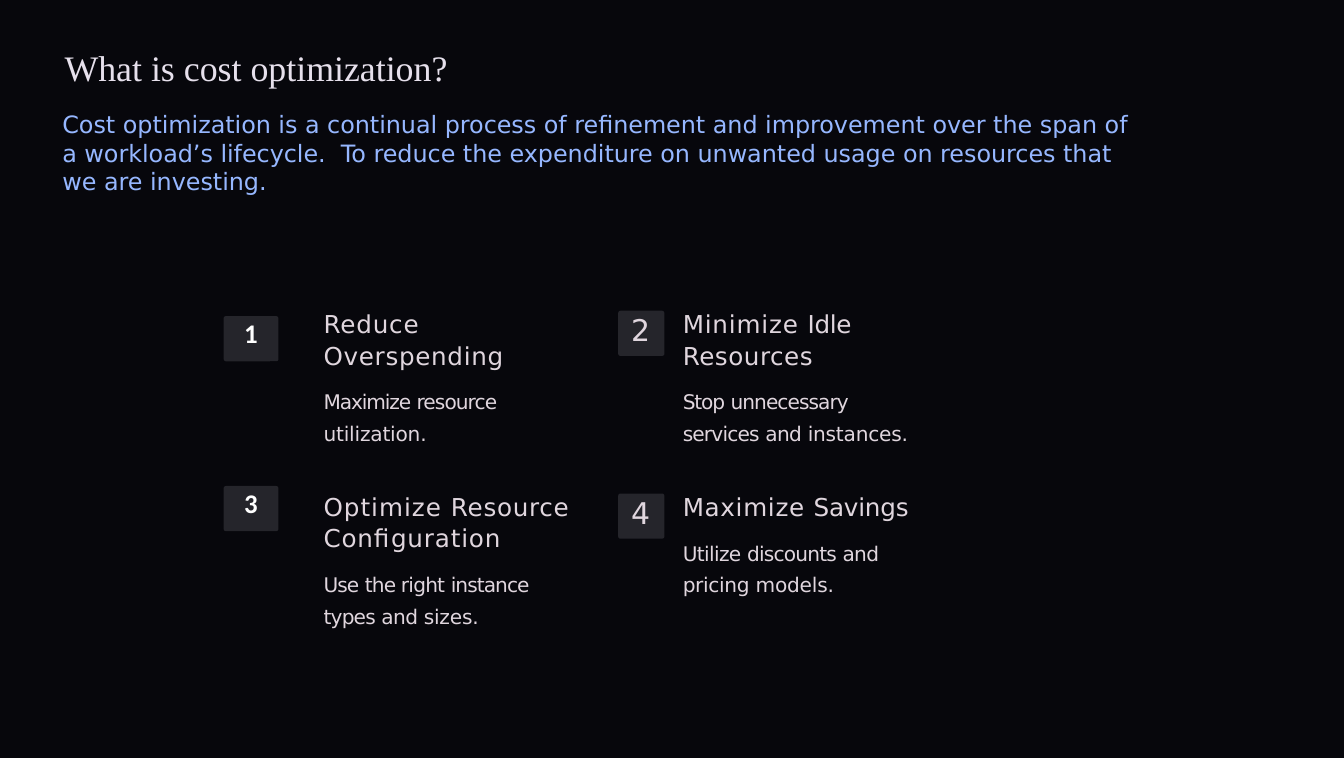
import dataclasses

import pptx
import pptx.dml.color
import pptx.enum.shapes
import pptx.enum.text
import pptx.oxml
import pptx.util

PX = 9144  # EMU per px, 100 px to the inch
Pt = pptx.util.Pt
MSO_SHAPE = pptx.enum.shapes.MSO_SHAPE
PP_ALIGN = pptx.enum.text.PP_ALIGN
MSO_ANCHOR = pptx.enum.text.MSO_ANCHOR
MSO_AUTO_SIZE = pptx.enum.text.MSO_AUTO_SIZE


@dataclasses.dataclass(frozen=True)
class Theme:
    back: str = "07070C"
    badge: str = "25252B"
    title: dict = dataclasses.field(default_factory=lambda: dict(
        name="Times New Roman", size=Pt(24), color="E6E0EC"))
    lead: dict = dataclasses.field(default_factory=lambda: dict(
        name="DejaVu Sans", size=Pt(16), color="96B7FF"))
    heading: dict = dataclasses.field(default_factory=lambda: dict(
        name="DejaVu Sans", size=Pt(16.5), color="E0D6DE"))
    detail: dict = dataclasses.field(default_factory=lambda: dict(
        name="DejaVu Sans", size=Pt(13.5), color="E0D6DE"))
    digit: dict = dataclasses.field(default_factory=lambda: dict(
        name="DejaVu Sans", size=Pt(20), color="E0D6DE"))
    bold_digit: dict = dataclasses.field(default_factory=lambda: dict(
        name="Calibri", size=Pt(18), bold=True, color="FFFFFF"))


def rgb(value):
    return pptx.dml.color.RGBColor.from_string(value)


def set_all(obj, values):
    for name, value in values.items():
        setattr(obj, name, value)


class Deck:
    def __init__(self, theme, width, height):
        self.theme = theme
        self.prs = pptx.Presentation()
        set_all(self.prs, dict(slide_width=width * PX, slide_height=height * PX))
        self.slide = self.prs.slides.add_slide(self.prs.slide_layouts[1])
        fill = self.slide.background.fill
        fill.solid()
        fill.fore_color.rgb = rgb(theme.back)

    def frame(self, sp, auto_size=MSO_AUTO_SIZE.SHAPE_TO_FIT_TEXT, top=0):
        tf = sp.text_frame
        set_all(tf, dict(
            margin_left=0, margin_right=0, margin_top=top * PX, margin_bottom=0,
            word_wrap=True, vertical_anchor=MSO_ANCHOR.TOP, auto_size=auto_size))
        return tf

    def add_text(self, p, runs, font, indent=0, **layout):
        """Fill a paragraph with (text, letter spacing in points) runs."""
        set_all(p, dict(alignment=PP_ALIGN.LEFT, space_before=Pt(0)) | layout)
        pPr = p._p.get_or_add_pPr()
        pPr.set("marL", str(indent * PX))
        pPr.set("indent", "0")
        for text, spacing in runs:
            r = p.add_run()
            r.text = text
            set_all(r.font, {k: v for k, v in font.items() if k != "color"})
            r.font.color.rgb = rgb(font["color"])
            if spacing:
                r._r.get_or_add_rPr().set("spc", str(round(spacing * 100)))
        return pPr

    def placeholder(self, idx, box, text, font):
        sp = self.slide.placeholders[idx]
        set_all(sp, dict(zip(("left", "top", "width", "height"),
                             (v * PX for v in box))))
        pPr = self.add_text(self.frame(sp).paragraphs[0], [(text, 0)], font)
        pPr.append(pptx.oxml.parse_xml(
            '<a:buNone xmlns:a="http://schemas.openxmlformats.org/'
            'drawingml/2006/main"/>'))

    def text_box(self, box, top=0):
        return self.frame(
            self.slide.shapes.add_textbox(*(v * PX for v in box)), top=top)

    def badge(self, box):
        sp = self.slide.shapes.add_shape(
            MSO_SHAPE.ROUNDED_RECTANGLE, *(v * PX for v in box))
        sp.adjustments[0] = 0.05
        sp.shadow.inherit = False
        sp.fill.solid()
        sp.fill.fore_color.rgb = rgb(self.theme.badge)
        sp.line.fill.background()
        return sp

    def left_number(self, text, x, y):
        tf = self.frame(self.badge((x, y, 51, 42)), MSO_AUTO_SIZE.NONE)
        self.add_text(tf.paragraphs[0], [(text, 0)], self.theme.bold_digit,
                      alignment=PP_ALIGN.CENTER)

    def right_number(self, text, x, y):
        self.badge((x, y, 43, 42))
        tf = self.text_box((x + 11, y - 1, 20, 37), top=2)
        self.add_text(tf.paragraphs[0], [(text, -0.5)], self.theme.digit,
                      indent=1, space_before=Pt(1.2))

    def card(self, box, heading, detail):
        tf = self.text_box(box)
        self.add_text(tf.paragraphs[0], heading, self.theme.heading, indent=1,
                      line_spacing=1.06, space_before=Pt(0.1))
        self.add_text(tf.add_paragraph(), detail, self.theme.detail, indent=1,
                      line_spacing=1.3, space_before=Pt(8.4))


LEAD = ("Cost optimization is a continual process of refinement and improvement "
        "over the span of a workload’s lifecycle.  To reduce the expenditure on "
        "unwanted usage on resources that we are investing.")

# Width, height, heading runs and detail runs of each card
CARDS = [
    (174, 130,
     [("Reduce ", 0.6), ("Overspending", 0.5)],
     [("Maximize ", -0.7), ("resource ", -0.6), ("utilization.", -0.1)]),
    (231, 130,
     [("Minimize ", 0.6), ("Idle ", -0.2), ("Resources", 0.4)],
     [("Stop ", -0.7), ("unnecessary ", -0.6), ("services ", -0.5),
      ("and ", -0.4), ("instances.", -0.1)]),
    (243, 130,
     [("Optimize ", 0.7), ("Resource ", 0.5), ("Configuration", 0.6)],
     [("Use ", -0.6), ("the right ", -0.5), ("instance ", -0.6),
      ("types ", -0.5), ("and ", -0.4), ("sizes.", -0.1)]),
    (249, 101,
     [("Maximize ", 0.5), ("Savings", -0.1)],
     [("Utilize ", -0.4), ("discounts ", -0.5), ("and ", -0.4),
      ("pricing ", -0.2), ("models.", -0.1)]),
]
CARD_X = (300, 634)
CARD_Y = (286, 456)
LEFT_BADGE_Y = (294, 452)


def main():
    theme = Theme()
    deck = Deck(theme, 1250, 705)

    # Title and definition
    deck.placeholder(0, (60, 42, 1092, 40), "What is cost optimization?", theme.title)
    deck.placeholder(1, (58, 102, 1008, 108), LEAD, theme.lead)

    # Two by two grid of numbered cards
    for i, (width, height, heading, detail) in enumerate(CARDS):
        row, col = divmod(i, 2)
        number = str(i + 1)
        if col == 0:
            deck.left_number(number, 208, LEFT_BADGE_Y[row])
        else:
            deck.right_number(number, 575, CARD_Y[row] + 3)
        deck.card((CARD_X[col], CARD_Y[row], width, height), heading, detail)

    deck.prs.save("out.pptx")


if __name__ == "__main__":
    main()
